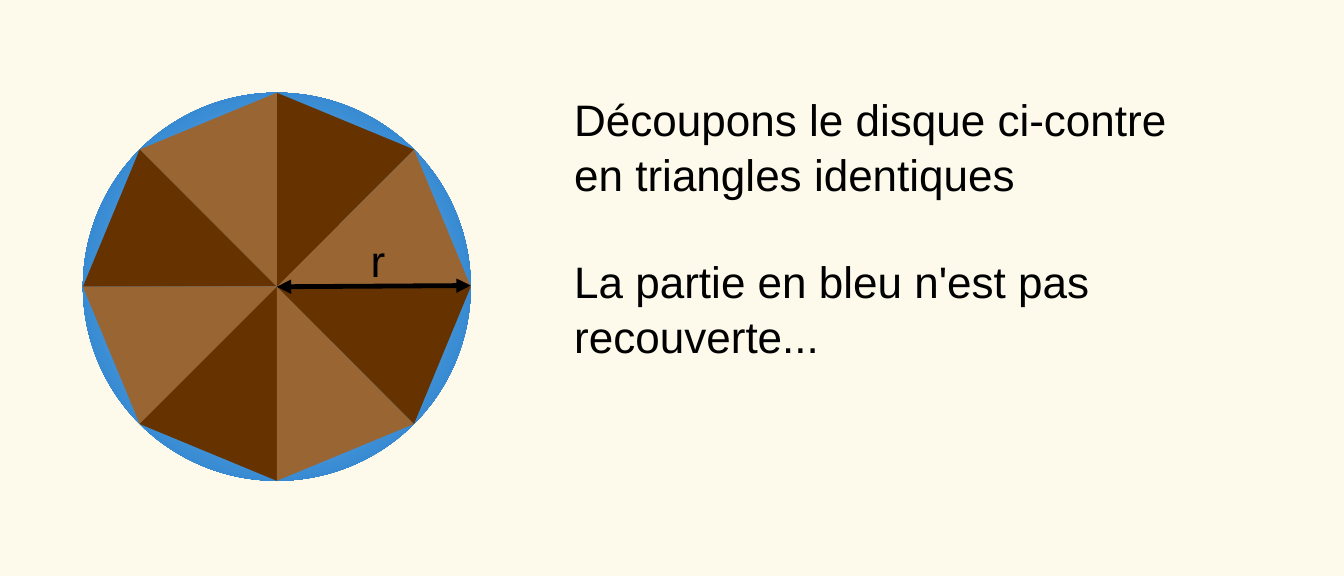
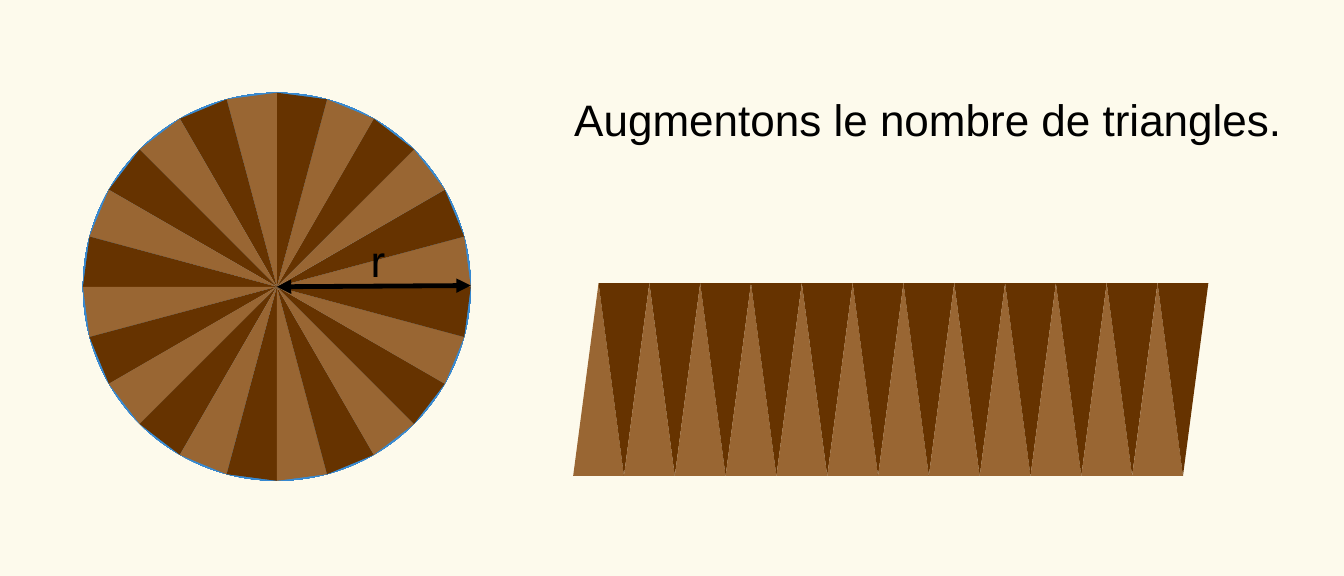
from math import cos, radians, sin

from lxml import etree
from pptx import Presentation
from pptx.dml.color import RGBColor
from pptx.enum import shapes
from pptx.oxml.ns import qn
from pptx.util import Inches, Pt

CREAM = RGBColor(0xFD, 0xFA, 0xEC)
LIGHT_BROWN = RGBColor(0x99, 0x66, 0x33)
DARK_BROWN = RGBColor(0x66, 0x33, 0x00)
PALE_BLUE = RGBColor(0x99, 0xCC, 0xFF)
DEEP_BLUE = RGBColor(0x10, 0x70, 0xC0)
BLACK = RGBColor(0, 0, 0)

FONT, TEXT_SIZE, LINE_SPACING = "Arial", Pt(26), 1.04
CENTRE_X, CENTRE_Y, RADIUS = 2.27, 2.35, 1.59


def add_text(page, left, top, width, height, paragraphs):
    box = page.shapes.add_textbox(
        Inches(left), Inches(top), Inches(width), Inches(height))
    frame = box.text_frame
    frame.word_wrap = True
    for index, words in enumerate(paragraphs):
        para = frame.add_paragraph() if index else frame.paragraphs[0]
        para.line_spacing = LINE_SPACING
        if index:
            para.space_before = Pt(31)
        span = para.add_run()
        span.text = words
        span.font.name = FONT
        span.font.size = TEXT_SIZE
        span.font.color.rgb = BLACK


def add_triangle(page, corners, color):
    points = [(Inches(x), Inches(y)) for x, y in corners]
    outline = page.shapes.build_freeform(*points[0])
    outline.add_line_segments(points[1:], close=True)
    triangle = outline.convert_to_shape()
    triangle.shadow.inherit = False
    triangle.fill.solid()
    triangle.fill.fore_color.rgb = color
    triangle.line.fill.background()


def add_blue_disc(page):
    disc = page.shapes.add_shape(
        shapes.MSO_SHAPE.OVAL,
        Inches(CENTRE_X - RADIUS), Inches(CENTRE_Y - RADIUS),
        Inches(2 * RADIUS), Inches(2 * RADIUS))
    disc.shadow.inherit = False
    disc.line.fill.background()
    disc.fill.gradient()
    for stop, color in zip(disc.fill.gradient_stops, (PALE_BLUE, DEEP_BLUE)):
        stop.color.rgb = color
    # Turn the linear gradient into one that spreads from the centre
    gradient = disc._element.spPr.find(qn("a:gradFill"))
    gradient.remove(gradient.find(qn("a:lin")))
    spread = etree.SubElement(gradient, qn("a:path"), path="circle")
    etree.SubElement(spread, qn("a:fillToRect"),
                     l="50000", t="50000", r="50000", b="50000")


def add_radius_arrow(page):
    arrow = page.shapes.add_connector(
        shapes.MSO_CONNECTOR.STRAIGHT,
        Inches(CENTRE_X), Inches(CENTRE_Y),
        Inches(CENTRE_X + RADIUS), Inches(CENTRE_Y - 0.01))
    arrow.line.color.rgb = BLACK
    arrow.line.width = Pt(2.83)
    properties = arrow._element.spPr
    line = properties.find(qn("a:ln"))
    for end in ("a:headEnd", "a:tailEnd"):
        etree.SubElement(line, qn(end), type="triangle")
    etree.SubElement(properties, qn("a:effectLst"))
    add_text(page, 2.94, 1.85, 0.59, 1.15, ["r"])


def add_cut_disc(page, count):
    """Disc cut into equal triangles, counter-clockwise from the right."""
    add_blue_disc(page)
    rim = []
    for index in range(count + 1):
        angle = radians(360 * index / count)
        rim.append((CENTRE_X + RADIUS * cos(angle),
                    CENTRE_Y - RADIUS * sin(angle)))
    for index in range(count):
        color = DARK_BROWN if index % 2 else LIGHT_BROWN
        add_triangle(page, [(CENTRE_X, CENTRE_Y), *rim[index:index + 2]], color)
    add_radius_arrow(page)


def add_triangle_strip(page, count, left, top, bottom, base):
    """Triangles side by side, alternately upright and upside down."""
    for index in range(count):
        flipped = index % 2
        base_y, tip_y = (top, bottom) if flipped else (bottom, top)
        start = left + index * base / 2
        corners = [(start, base_y), (start + base, base_y),
                   (start + base / 2, tip_y)]
        add_triangle(page, corners, DARK_BROWN if flipped else LIGHT_BROWN)


def main():
    deck = Presentation()
    deck.slide_width, deck.slide_height = Inches(11.02), Inches(4.72)
    backdrop = deck.slide_master.background.fill
    backdrop.solid()
    backdrop.fore_color.rgb = CREAM
    blank = deck.slide_layouts[6]

    # Eight triangles leave part of the disc uncovered
    page = deck.slides.add_slide(blank)
    add_cut_disc(page, 8)
    add_text(page, 4.61, 0.69, 5.24, 3.33, [
        "Découpons le disque ci-contre en triangles identiques",
        "La partie en bleu n'est pas recouverte...",
    ])

    # Twenty-four triangles, also laid out in a strip
    page = deck.slides.add_slide(blank)
    add_cut_disc(page, 24)
    add_triangle_strip(page, 24, left=4.7, top=2.32, bottom=3.9, base=5 / 12)
    add_text(page, 4.61, 0.69, 6.02, 0.79,
             ["Augmentons le nombre de triangles."])

    deck.save("out.pptx")


main()
